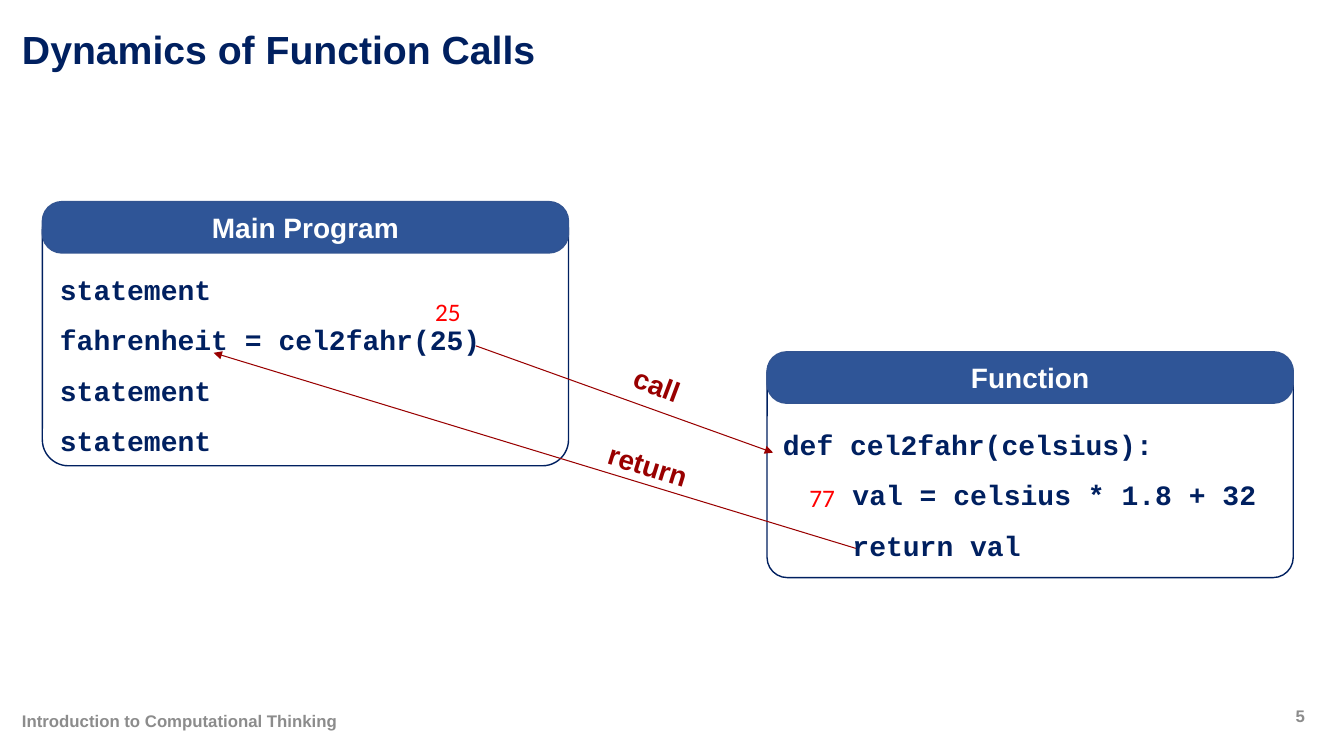
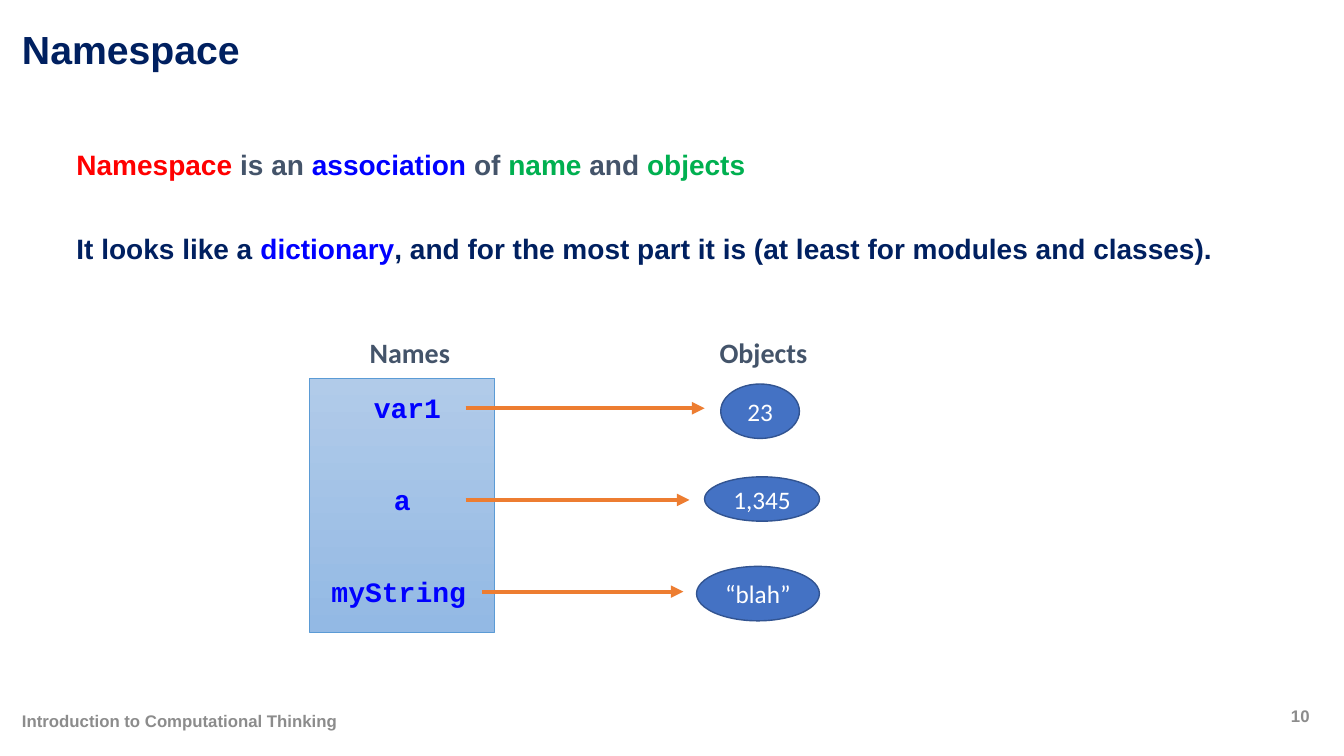
from dataclasses import dataclass

from lxml import etree
from pptx import Presentation
from pptx.dml.color import RGBColor
from pptx.enum.shapes import MSO_CONNECTOR, MSO_SHAPE
from pptx.enum.text import MSO_ANCHOR, PP_ALIGN
from pptx.oxml.ns import qn
from pptx.util import Pt

LEFT, CENTER = PP_ALIGN.LEFT, PP_ALIGN.CENTER
TOP, MIDDLE = MSO_ANCHOR.TOP, MSO_ANCHOR.MIDDLE
RECT, ROUND, OVAL = MSO_SHAPE.RECTANGLE, MSO_SHAPE.ROUNDED_RECTANGLE, MSO_SHAPE.OVAL
STRAIGHT = MSO_CONNECTOR.STRAIGHT

SANS, MONO, BODY = "Arial", "Courier New", "Calibri"
NAVY, GRAY, SLATE, WHITE = "002060", "8C8C8C", "44546A", "FFFFFF"
RED, BLUE, GREEN, MAROON = "FF0000", "0000FF", "00B050", "990000"
HEADER, OUTLINE, OBJECT, ORANGE = "2F5597", "325491", "4472C4", "ED7D31"
FOOTER = "Introduction to Computational Thinking"
PANEL_W, HEADER_H, LINE_H = 375.84, 36.7, 31.7


@dataclass
class Box:
    x: float
    y: float
    w: float
    h: float


@dataclass
class Style:
    font: str
    size: float
    color: str
    bold: bool = True
    align: PP_ALIGN = LEFT


@dataclass
class CodePanel:
    title: str
    header_y: float
    body: Box
    radius: float
    inset: float
    lines: list[tuple[str, float]]


@dataclass
class Binding:
    name: str
    name_x: float
    name_w: float
    value: str
    oval: Box
    start: float
    end: float


TITLE = Style(SANS, 28, NAVY)
SMALL = Style(SANS, 12, GRAY)
PAGE = Style(SANS, 12, GRAY, align=CENTER)
HEADING = Style(SANS, 20, WHITE, align=CENTER)
SENTENCE = Style(SANS, 20, NAVY)
ARROW_LABEL = Style(SANS, 20, MAROON, align=CENTER)
CODE = Style(MONO, 20, NAVY)
NAME = Style(MONO, 20, BLUE)
COLUMN = Style(BODY, 20, SLATE)
VALUE = Style(BODY, 18, RED, bold=False)
OBJECT_TEXT = Style(BODY, 18, WHITE, bold=False, align=CENTER)


def rgb(color: str) -> RGBColor:
    return RGBColor.from_string(color)


def style_paragraph(p, style: Style) -> None:
    p.alignment = style.align
    p.font.name = style.font
    p.font.size = Pt(style.size)
    p.font.bold = style.bold
    p.font.color.rgb = rgb(style.color)


def add_text(slide, box: Box, text: str, style: Style, anchor=TOP, rotation: float = 0):
    sp = slide.shapes.add_textbox(Pt(box.x), Pt(box.y), Pt(box.w), Pt(box.h))
    sp.rotation = rotation
    tf = sp.text_frame
    tf.word_wrap = True
    tf.vertical_anchor = anchor
    p = tf.paragraphs[0]
    p.text = text
    style_paragraph(p, style)
    return p


def add_sentence(slide, box: Box, runs: list[tuple[str, str]]) -> None:
    p = add_text(slide, box, "", SENTENCE)
    for text, color in runs:
        r = p.add_run()
        r.text = text
        r.font.color.rgb = rgb(color)


def add_shape(slide, kind, box: Box, fill: str | None, line: str, width: float = 1):
    sp = slide.shapes.add_shape(kind, Pt(box.x), Pt(box.y), Pt(box.w), Pt(box.h))
    sp.shadow.inherit = False
    if fill:
        sp.fill.solid()
        sp.fill.fore_color.rgb = rgb(fill)
    else:
        sp.fill.background()
    sp.line.color.rgb = rgb(line)
    sp.line.width = Pt(width)
    return sp


def set_label(sp, text: str, style: Style, wrap: bool = True) -> None:
    tf = sp.text_frame
    tf.word_wrap = wrap
    tf.vertical_anchor = MIDDLE
    p = tf.paragraphs[0]
    p.text = text
    style_paragraph(p, style)


def add_arrow(slide, x1: float, y1: float, x2: float, y2: float, color: str, width: float) -> None:
    line = slide.shapes.add_connector(STRAIGHT, Pt(x1), Pt(y1), Pt(x2), Pt(y2))
    line.line.color.rgb = rgb(color)
    line.line.width = Pt(width)
    etree.SubElement(line.line._get_or_add_ln(), qn("a:tailEnd"), type="triangle")
    etree.SubElement(line._element.spPr, qn("a:effectLst"))


def add_code_body(slide, panel: CodePanel) -> None:
    sp = add_shape(slide, ROUND, panel.body, None, NAVY)
    sp.adjustments[0] = panel.radius
    tf = sp.text_frame
    tf.word_wrap = True
    tf.vertical_anchor = TOP
    tf.margin_top = Pt(panel.inset)
    for i, (text, indent) in enumerate(panel.lines):
        p = tf.add_paragraph() if i else tf.paragraphs[0]
        p.text = text
        p.line_spacing = Pt(36)
        style_paragraph(p, CODE)
        p._p.get_or_add_pPr().set("marL", str(Pt(indent)))


def add_code_header(slide, panel: CodePanel) -> None:
    box = Box(panel.body.x, panel.header_y, PANEL_W, HEADER_H)
    sp = add_shape(slide, ROUND, box, HEADER, OUTLINE)
    sp.adjustments[0] = 0.38
    set_label(sp, panel.title, HEADING)


def new_slide(prs, title: str, number: int):
    slide = prs.slides.add_slide(prs.slide_layouts[6])
    p = add_text(slide, Box(8.64, 12.24, 914.4, 49), title, TITLE, MIDDLE)
    p.line_spacing = 0.9
    add_text(slide, Box(8.64, 500.4, 593.3, 28.8), FOOTER, SMALL, MIDDLE)
    add_text(slide, Box(911.5, 496.8, 34.6, 28.8), str(number), PAGE, MIDDLE)
    return slide


def build_calls(prs) -> None:
    slide = new_slide(prs, "Dynamics of Function Calls", 5)
    panels = [
        CodePanel("Main Program", 144, Box(30.24, 146.2, PANEL_W, 186.5), 0.1, 31, [
            ("statement", 0),
            ("fahrenheit = cel2fahr(25)", 0),
            ("statement", 0),
            ("statement", 0),
        ]),
        CodePanel("Function", 251.3, Box(547.92, 252, PANEL_W, 160.6), 0.09, 37, [
            ("def cel2fahr(celsius):", 0),
            ("val = celsius * 1.8 + 32", 49.7),
            ("return val", 49.7),
        ]),
    ]
    for panel in panels:
        add_code_body(slide, panel)
    add_arrow(slide, 339.8, 247, 552.2, 323.3, MAROON, 0.75)
    add_arrow(slide, 611.3, 391.7, 152.6, 252, MAROON, 0.75)
    add_text(slide, Box(414.7, 259.2, 109.4, LINE_H), "call", ARROW_LABEL, rotation=20.6)
    add_text(slide, Box(408.2, 316.8, 109.4, LINE_H), "return", ARROW_LABEL, rotation=17.3)
    for panel in panels:
        add_code_header(slide, panel)
    add_text(slide, Box(303.8, 208.1, 36, 28.8), "25", VALUE)
    add_text(slide, Box(571, 341.3, 54.7, 28.8), "77", VALUE)


def build_namespace(prs) -> None:
    slide = new_slide(prs, "Namespace", 10)
    add_sentence(slide, Box(47.5, 101.5, 520, LINE_H), [
        ("Namespace ", RED), ("is an ", SLATE), ("association ", BLUE), ("of ", SLATE),
        ("name ", GREEN), ("and ", SLATE), ("objects", GREEN),
    ])
    add_sentence(slide, Box(47.5, 162, 863.3, LINE_H), [
        ("It looks like a ", NAVY), ("dictionary", BLUE),
        (", and for the most part it is (at least for modules and classes).", NAVY),
    ])

    names = add_shape(slide, RECT, Box(221, 270, 132.5, 181.4), None, "5B9BD5", 0.5)
    names.fill.gradient()
    names.fill.gradient_angle = 270
    for stop, color in zip(names.fill.gradient_stops, ("B1CBE9", "93B9E4")):
        stop.color.rgb = rgb(color)

    bindings = [
        Binding("var1", 259.9, 70, "23", Box(514.8, 274.3, 56.2, 38.9), 332.6, 503.3),
        Binding("a", 274.3, 49.7, "1,345", Box(503.3, 340.6, 82.1, 31.7), 332.6, 492.5),
        Binding("myString", 229.7, 123.8, "“blah”", Box(497.5, 404.6, 87.8, 38.9), 344.2, 488.2),
    ]
    for i, b in enumerate(bindings):
        y = 291.6 + 65.5 * i
        add_text(slide, Box(b.name_x, y - LINE_H / 2, b.name_w, LINE_H), b.name, NAME)
        oval = add_shape(slide, OVAL, b.oval, OBJECT, OUTLINE)
        set_label(oval, b.value, OBJECT_TEXT, wrap=False)
        add_arrow(slide, b.start, y, b.end, y, ORANGE, 3)
    for text, x in (("Names", 257), ("Objects", 506.9)):
        add_text(slide, Box(x, 236.2, 83.5, LINE_H), text, COLUMN)


prs = Presentation()
prs.slide_width, prs.slide_height = Pt(960), Pt(540)
build_calls(prs)
build_namespace(prs)
prs.save("out.pptx")
